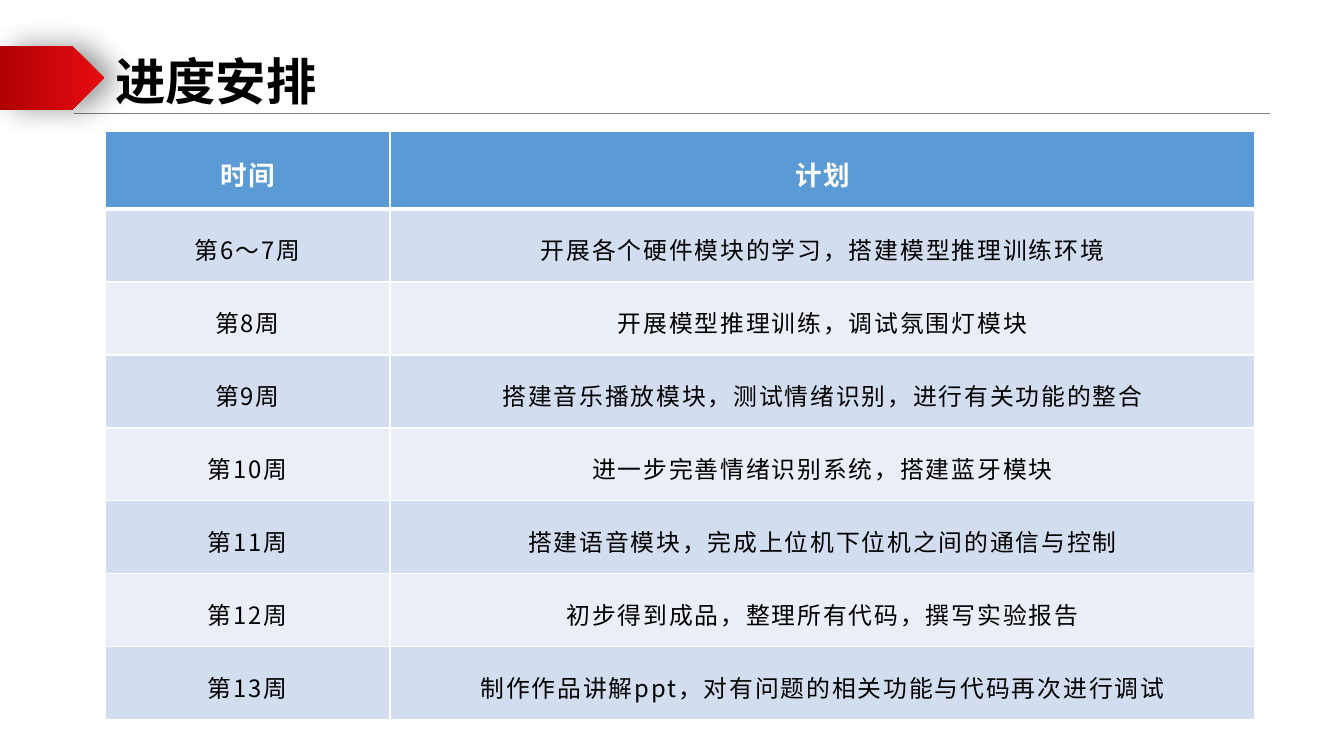
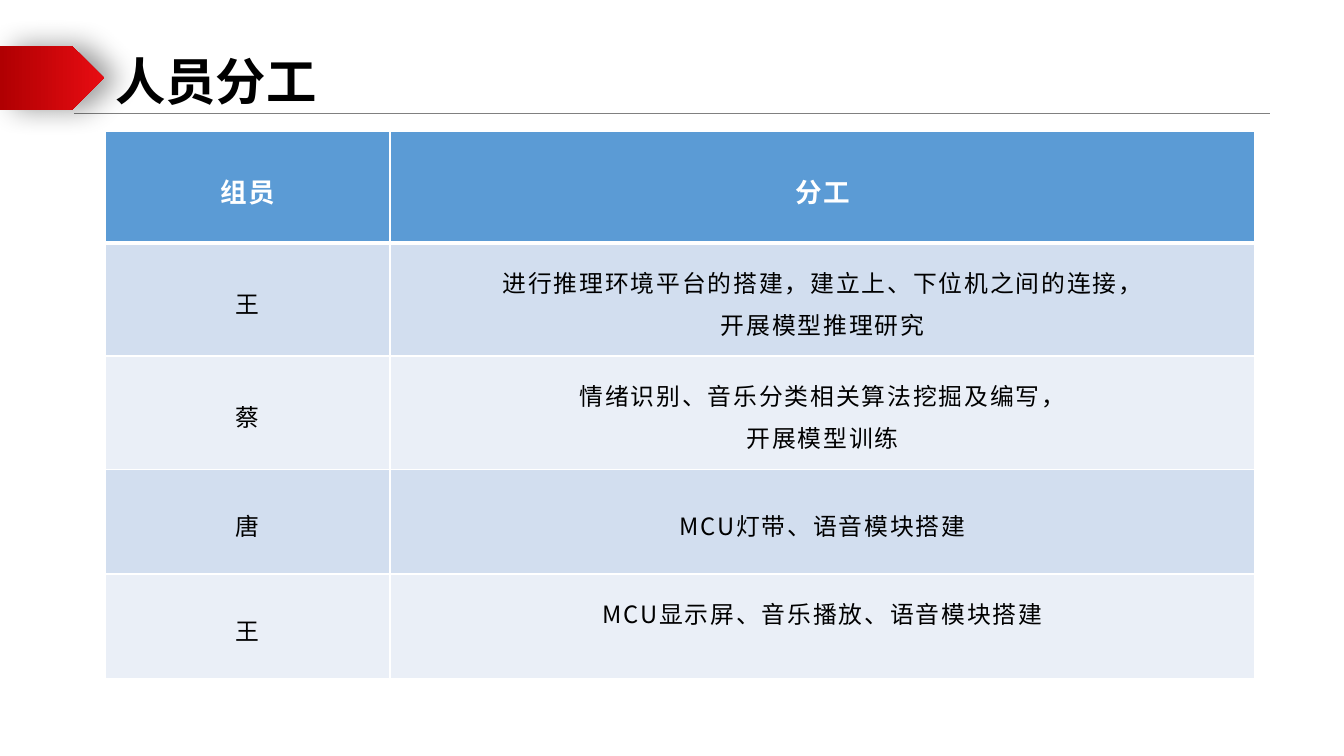
from lxml.etree import SubElement
from pptx import Presentation
from pptx.dml.color import RGBColor
from pptx.enum.shapes import MSO_CONNECTOR as Connector, MSO_SHAPE as Shape
from pptx.enum.text import MSO_ANCHOR as Anchor, MSO_AUTO_SIZE as AutoSize, PP_ALIGN as Align
from pptx.oxml.ns import qn
from pptx.util import Emu, Pt

SLIDES = [
    {
        "title": "进度安排",
        "row_heights": (78, 73),
        "rows": [
            ("时间", "计划"),
            ("第6～7周", "开展各个硬件模块的学习，搭建模型推理训练环境"),
            ("第8周", "开展模型推理训练，调试氛围灯模块"),
            ("第9周", "搭建音乐播放模块，测试情绪识别，进行有关功能的整合"),
            ("第10周", "进一步完善情绪识别系统，搭建蓝牙模块"),
            ("第11周", "搭建语音模块，完成上位机下位机之间的通信与控制"),
            ("第12周", "初步得到成品，整理所有代码，撰写实验报告"),
            ("第13周", "制作作品讲解ppt，对有问题的相关功能与代码再次进行调试"),
        ],
        "top_cells": [],
    },
    {
        "title": "人员分工",
        "row_heights": (112, 105),
        "rows": [
            ("组员", "分工"),
            ("王", "进行推理环境平台的搭建，建立上、下位机之间的连接，\n开展模型推理研究"),
            ("蔡", "情绪识别、音乐分类相关算法挖掘及编写，\n开展模型训练"),
            ("唐", "MCU灯带、语音模块搭建"),
            ("王", "MCU显示屏、音乐播放、语音模块搭建"),
        ],
        "top_cells": [(4, 1)],
    },
]

THEME = {
    "font": "Noto Sans CJK SC",
    "black": "000000",
    "white": "FFFFFF",
    "rule": "808080",
    "tag": ("B00002", "E70C12"),
    "header": "5B9BD5",
    "bands": ("D2DEEF", "EAEFF7"),
    "title_size": 36,
    "header_size": 19,
    "body_size": 17,
    "spacing": 130,
}

SLIDE_SIZE = (1344, 756)
TITLE_BOX = (105, 44, 965, 72)
TAG_BOX = (0, 46, 104, 64)
RULE = (74, 113, 1270, 113)
TABLE_LEFT, TABLE_TOP = 105, 131
COLUMN_WIDTHS = (285, 865)
CELL_INSETS = (24, 15)


def px(length):
    return Emu(round(length * 12192000 / SLIDE_SIZE[0]))


def box(lengths):
    return [px(length) for length in lengths]


def color(name):
    return RGBColor.from_string(name)


def set_format(target, values):
    for name, value in values.items():
        setattr(target, name, value)


def add_xml(parent, tag, **attributes):
    return SubElement(parent, qn(tag), {name: str(value) for name, value in attributes.items()})


def style_run(run, size, bold, color_name, spacing=0):
    set_format(run.font, {"name": THEME["font"], "size": Pt(size), "bold": bold})
    run.font.color.rgb = color(color_name)
    properties = run.font._element
    properties.set("spc", str(spacing))
    add_xml(properties, "a:ea", typeface=THEME["font"])


def build_layout(layout, slide):
    for placeholder in list(layout.placeholders):
        if placeholder.placeholder_format.idx:
            layout.shapes.element.remove(placeholder.element)
    title = layout.placeholders[0]
    set_format(title, dict(zip(("left", "top", "width", "height"), box(TITLE_BOX))))

    rule = slide.shapes.add_connector(Connector.STRAIGHT, *box(RULE))
    rule.line.width = Pt(0.25)
    rule.line.color.rgb = color(THEME["rule"])
    add_xml(rule.element.spPr, "a:effectLst")

    tag = slide.shapes.add_shape(Shape.PENTAGON, *box(TAG_BOX))
    tag.line.fill.background()
    tag.fill.gradient()
    tag.fill.gradient_angle = 0
    for position, (stop, name) in enumerate(zip(tag.fill.gradient_stops, THEME["tag"])):
        stop.position = position
        stop.color.rgb = color(name)
    tag.shadow.inherit = False
    effects = tag.element.spPr.find(qn("a:effectLst"))
    shadow = add_xml(effects, "a:outerShdw", blurRad=Pt(20), dist=Pt(10), dir=0,
                     algn="ctr", rotWithShape=0)
    add_xml(add_xml(shadow, "a:srgbClr", val=THEME["black"]), "a:alpha", val=40000)

    for shape in (rule, tag):
        layout.shapes.element.append(shape.element)


def fill_title(title, text):
    frame = title.text_frame
    frame.text = text
    set_format(frame, {"vertical_anchor": Anchor.MIDDLE, "auto_size": AutoSize.NONE,
                       "word_wrap": True})
    paragraph = frame.paragraphs[0]
    paragraph.alignment = Align.LEFT
    style_run(paragraph.runs[0], THEME["title_size"], True, THEME["black"])


def add_borders(cell, row):
    widths = {"L": 1, "R": 1, "T": 3 if row == 1 else 1, "B": 3 if row == 0 else 1}
    properties = cell._tc.get_or_add_tcPr()
    for side, width in widths.items():
        line = add_xml(properties, f"a:ln{side}", w=Pt(width))
        add_xml(add_xml(line, "a:solidFill"), "a:srgbClr", val=THEME["white"])


def fill_cell(cell, text, row, anchor):
    header = row == 0
    cell.text = text
    across, down = box(CELL_INSETS)
    set_format(cell, {"vertical_anchor": anchor, "margin_left": across, "margin_right": across,
                      "margin_top": down, "margin_bottom": down})
    add_borders(cell, row)
    cell.fill.solid()
    cell.fill.fore_color.rgb = color(THEME["header"] if header else THEME["bands"][(row - 1) % 2])
    for paragraph in cell.text_frame.paragraphs:
        set_format(paragraph, {"alignment": Align.CENTER, "line_spacing": 1.2})
        style_run(paragraph.runs[0], THEME["header_size" if header else "body_size"], header,
                  THEME["white" if header else "black"], THEME["spacing"])


def add_plan_table(slide, content):
    rows = content["rows"]
    header_height, body_height = content["row_heights"]
    heights = [header_height] + [body_height] * (len(rows) - 1)
    frame = slide.shapes.add_table(
        len(rows), len(COLUMN_WIDTHS),
        *box((TABLE_LEFT, TABLE_TOP, sum(COLUMN_WIDTHS), sum(heights))))
    table = frame.table
    for column, width in zip(table.columns, COLUMN_WIDTHS):
        column.width = px(width)
    for row, (texts, height) in enumerate(zip(rows, heights)):
        table.rows[row].height = px(height)
        for column, text in enumerate(texts):
            anchor = Anchor.TOP if (row, column) in content["top_cells"] else Anchor.MIDDLE
            fill_cell(table.cell(row, column), text, row, anchor)


def main():
    presentation = Presentation()
    presentation.slide_width, presentation.slide_height = box(SLIDE_SIZE)
    layout = presentation.slide_layouts.get_by_name("Title Only")
    for number, content in enumerate(SLIDES):
        slide = presentation.slides.add_slide(layout)
        if number == 0:
            build_layout(layout, slide)
        fill_title(slide.shapes.title, content["title"])
        add_plan_table(slide, content)
    presentation.save("out.pptx")


if __name__ == "__main__":
    main()
